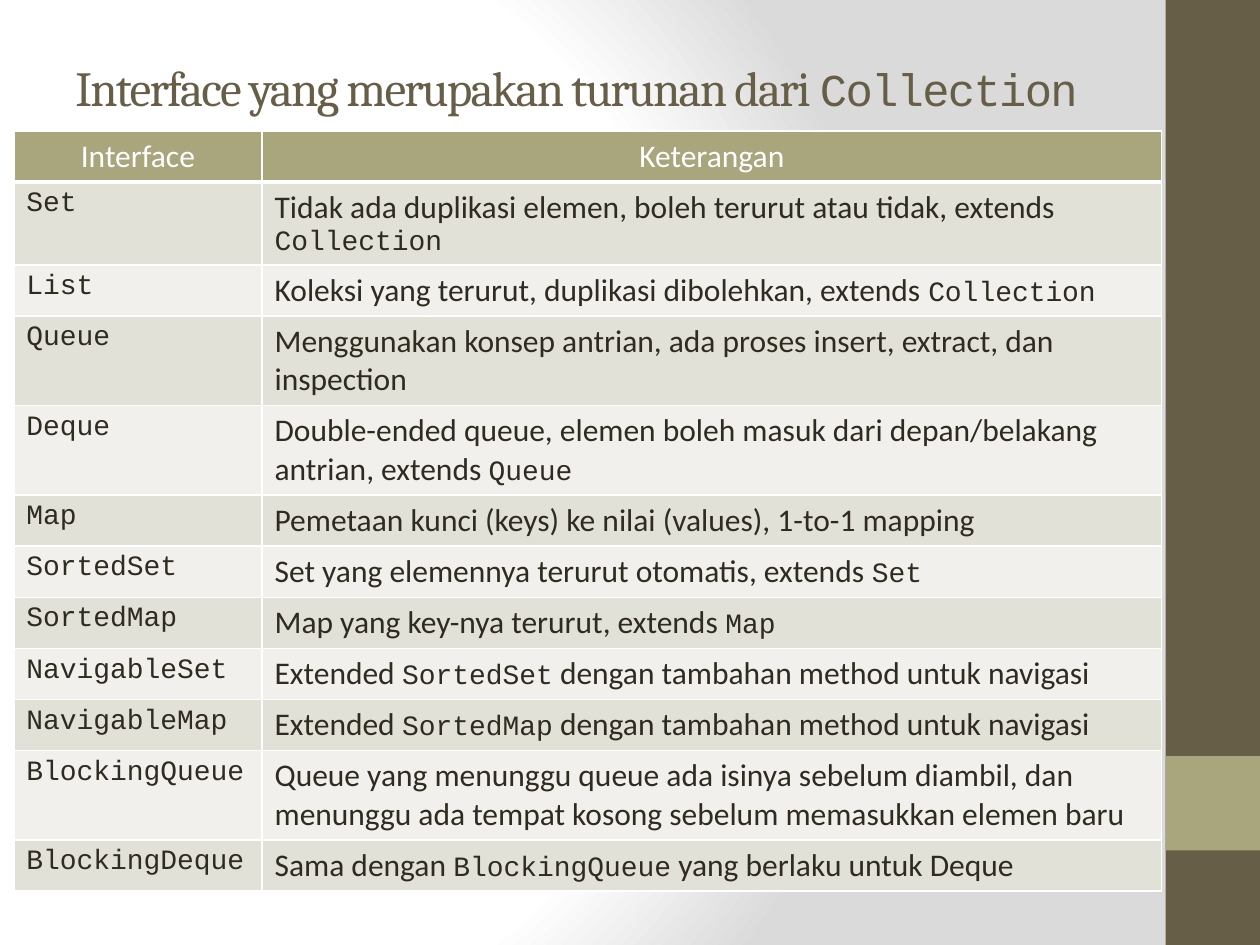
from pptx import Presentation
from pptx.dml.color import RGBColor
from pptx.enum.shapes import MSO_SHAPE
from pptx.enum.text import MSO_ANCHOR, PP_ALIGN
from pptx.oxml import parse_xml
from pptx.oxml.ns import nsdecls
from pptx.util import Inches, Pt

BROWN = RGBColor(0x67, 0x5E, 0x47)
OLIVE = RGBColor(0xA9, 0xA5, 0x7C)
DARK_BAND = RGBColor(0xE2, 0xE1, 0xD7)
LIGHT_BAND = RGBColor(0xF1, 0xF0, 0xEC)
INK = RGBColor(0x2F, 0x2B, 0x20)
WHITE = RGBColor(0xFF, 0xFF, 0xFF)

# Backticks enclose words set in the code font.
INTERFACES = [
    ("Set", "Tidak ada duplikasi elemen, boleh terurut atau tidak, extends `Collection`"),
    ("List", "Koleksi yang terurut, duplikasi dibolehkan, extends `Collection`"),
    ("Queue", "Menggunakan konsep antrian, ada proses insert, extract, dan inspection"),
    ("Deque", "Double-ended queue, elemen boleh masuk dari depan/belakang antrian, extends `Queue`"),
    ("Map", "Pemetaan kunci (keys) ke nilai (values), 1-to-1 mapping"),
    ("SortedSet", "Set yang elemennya terurut otomatis, extends `Set`"),
    ("SortedMap", "Map yang key-nya terurut, extends `Map`"),
    ("NavigableSet", "Extended `SortedSet` dengan tambahan method untuk navigasi"),
    ("NavigableMap", "Extended `SortedMap` dengan tambahan method untuk navigasi"),
    ("BlockingQueue", "Queue yang menunggu queue ada isinya sebelum diambil, dan "
                      "menunggu ada tempat kosong sebelum memasukkan elemen baru"),
    ("BlockingDeque", "Sama dengan `BlockingQueue` yang berlaku untuk Deque"),
]


def write_marked(paragraph, marked, font_name, size, code_size, color):
    """Add runs to the paragraph, with text between backticks in the code font."""
    for index, part in enumerate(marked.split("`")):
        if not part:
            continue
        is_code = index % 2 == 1
        run = paragraph.add_run()
        run.text = part
        run.font.name = "Courier New" if is_code else font_name
        run.font.size = Pt(code_size if is_code else size)
        run.font.bold = False
        run.font.color.rgb = color


def add_borders(cell, top, bottom):
    """Draw white borders, 1 pt at the sides and the given points above and below."""
    for side, width in (("L", 1), ("R", 1), ("T", top), ("B", bottom)):
        cell._tc.get_or_add_tcPr().append(parse_xml(
            f'<a:ln{side} {nsdecls("a")} w="{Pt(width)}"><a:solidFill>'
            f'<a:srgbClr val="{WHITE}"/></a:solidFill></a:ln{side}>'))


prs = Presentation()
prs.slide_width, prs.slide_height = Inches(10), Inches(7.5)
slide = prs.slides.add_slide(prs.slide_layouts[6])

slide.element.cSld.insert(0, parse_xml(
    f'<p:bg {nsdecls("p", "a")}><p:bgPr><a:gradFill rotWithShape="1"><a:gsLst>'
    '<a:gs pos="0"><a:srgbClr val="FFFFFF"/></a:gs>'
    '<a:gs pos="75000"><a:srgbClr val="FFFFFF"/></a:gs>'
    '<a:gs pos="100000"><a:srgbClr val="DADADA"/></a:gs></a:gsLst>'
    '<a:path path="circle"><a:fillToRect l="20000" t="50000" r="100000" b="50000"/></a:path>'
    '</a:gradFill><a:effectLst/></p:bgPr></p:bg>'))

# Side band with its accent square
for top, height, color in ((0, 7.5, BROWN), (6, 0.75, OLIVE)):
    band = slide.shapes.add_shape(
        MSO_SHAPE.RECTANGLE, Inches(9.25), Inches(top), Inches(0.75), Inches(height))
    band.shadow.inherit = False
    band.fill.solid()
    band.fill.fore_color.rgb = color
    band.line.fill.background()

# Interface table; rows grow with their text
table = slide.shapes.add_table(
    len(INTERFACES) + 1, 2, Inches(0.11), Inches(1.04), Inches(9.11), Inches(4.8)).table
table.columns[0].width = Inches(1.97)
table.columns[1].width = Inches(7.14)

rows = [("Interface", "Keterangan")]
rows += [(f"`{name}`", description) for name, description in INTERFACES]
for row_index, texts in enumerate(rows):
    table.rows[row_index].height = Inches(0.4)
    is_header = row_index == 0
    for column_index, marked in enumerate(texts):
        cell = table.cell(row_index, column_index)
        add_borders(cell, 3 if row_index == 1 else 1, 3 if is_header else 1)
        cell.fill.solid()
        cell.fill.fore_color.rgb = (
            OLIVE if is_header else DARK_BAND if row_index % 2 else LIGHT_BAND)
        paragraph = cell.text_frame.paragraphs[0]
        paragraph.alignment = PP_ALIGN.CENTER if is_header else PP_ALIGN.LEFT
        write_marked(paragraph, marked, "Calibri", 18, 16, WHITE if is_header else INK)

# Title
title = slide.shapes.add_textbox(
    Inches(0.5), Inches(0.3), Inches(8.33), Inches(0.78)).text_frame
title.word_wrap = True
title.vertical_anchor = MSO_ANCHOR.MIDDLE
heading = title.paragraphs[0]
write_marked(heading, "Interface yang merupakan turunan dari `Collection`",
             "Cambria", 28, 26, BROWN)
for run in heading.runs:
    run.font._element.set("spc", "-100")

prs.save("out.pptx")
